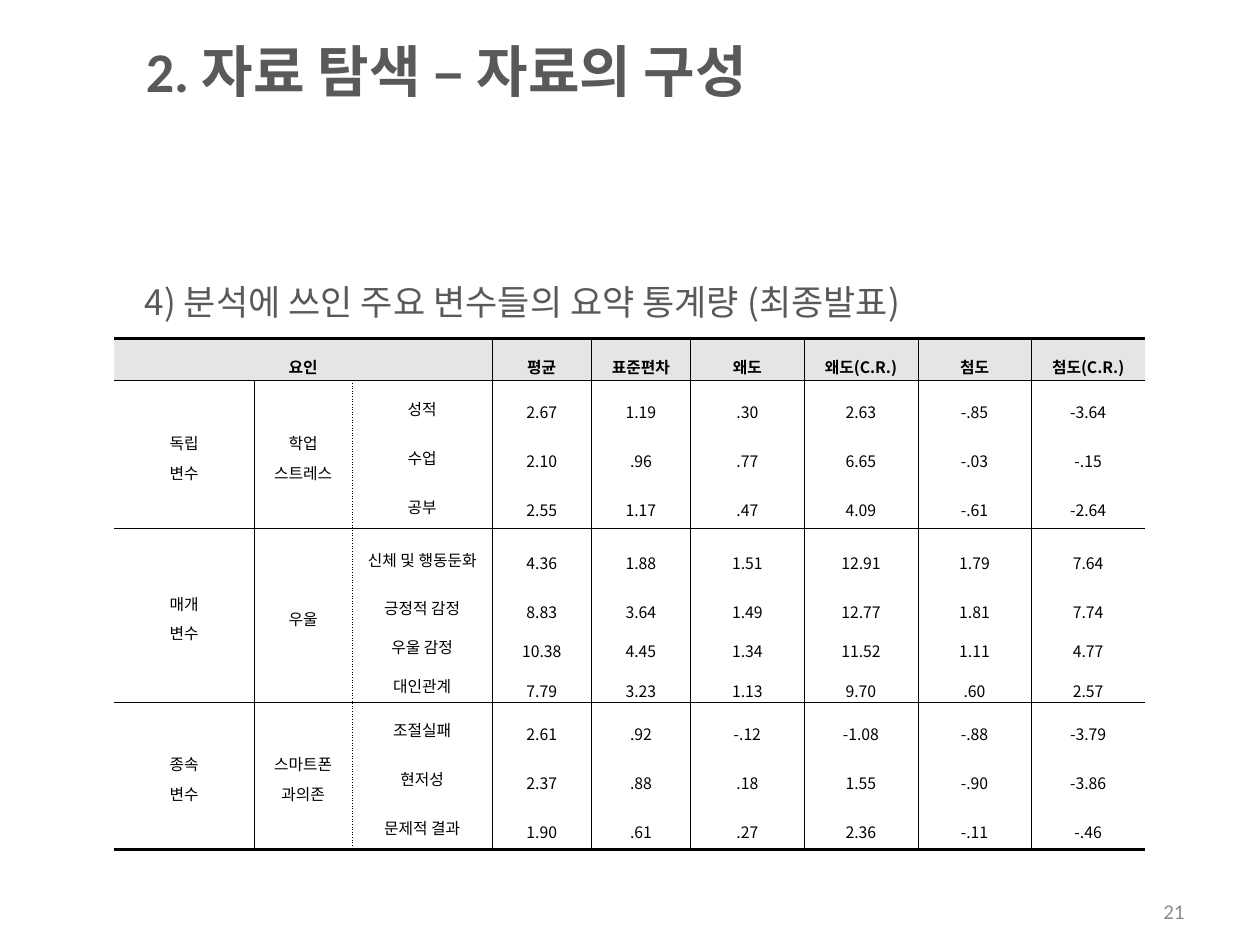
from dataclasses import dataclass
from typing import NamedTuple, Optional

from lxml.etree import SubElement
from pptx import Presentation
from pptx.dml.color import RGBColor
from pptx.enum.text import MSO_ANCHOR as Anchor, PP_ALIGN as Align
from pptx.oxml.ns import qn
from pptx.util import Cm, Pt


@dataclass(frozen=True)
class Theme:
    latin: str = "Calibri"
    korean: str = "Noto Sans CJK KR"
    heading: str = "595959"
    number: str = "8C8C8C"
    ink: str = "000000"
    header_fill: str = "E5E5E5"
    title_size: float = 32
    subtitle_size: float = 20
    number_size: float = 12
    table_size: float = 9
    thin: float = 0.25
    thick: float = 1.7
    label_spacing: float = 1.3
    value_spacing: float = 1.6


THEME = Theme()
NO_GRID_STYLE = "{2D5ABB26-0587-4C30-8999-92F81FD0307C}"


class Style(NamedTuple):
    size: float
    color: str
    font: str = THEME.latin
    bold: bool = False


class Label(NamedTuple):
    text: str
    style: Style
    left: float
    top: float
    width: float
    height: float
    anchor: Anchor = Anchor.MIDDLE
    align: Align = Align.LEFT
    space_before: float = 0


class Measure(NamedTuple):
    name: str
    values: str
    height: float = 0.99


class Group(NamedTuple):
    role: list[str]
    factor: list[str]
    measures: list[Measure]


class Line(NamedTuple):
    width: float
    dash: str = "solid"


# Content
LABELS = [
    Label("2. 자료 탐색 – 자료의 구성",
          Style(THEME.title_size, THEME.heading, bold=True), 2.69, 0.3, 19.69, 2.21),
    Label("4) 분석에 쓰인 주요 변수들의 요약 통계량 (최종발표)",
          Style(THEME.subtitle_size, THEME.heading, THEME.korean),
          2.67, 5.54, 18.03, 1.3, Anchor.TOP, space_before=4),
    Label("21", Style(THEME.number_size, THEME.number),
          18.21, 18.06, 5.92, 0.61, align=Align.RIGHT),
]
HEADERS = [["평균"], ["표준편차"], ["왜도"], ["왜도", "(C.R.)"], ["첨도"], ["첨도", "(C.R.)"]]
GROUPS = [
    Group(["독립", "변수"], ["학업", "스트레스"], [
        Measure("성적", "2.67 1.19 .30 2.63 -.85 -3.64"),
        Measure("수업", "2.10 .96 .77 6.65 -.03 -.15"),
        Measure("공부", "2.55 1.17 .47 4.09 -.61 -2.64"),
    ]),
    Group(["매개", "변수"], ["우울"], [
        Measure("신체 및 행동둔화", "4.36 1.88 1.51 12.91 1.79 7.64", 1.14),
        Measure("긍정적 감정", "8.83 3.64 1.49 12.77 1.81 7.74", 0.79),
        Measure("우울 감정", "10.38 4.45 1.34 11.52 1.11 4.77", 0.79),
        Measure("대인관계", "7.79 3.23 1.13 9.70 .60 2.57", 0.79),
    ]),
    Group(["종속", "변수"], ["스마트폰", "과의존"], [
        Measure("조절실패", "2.61 .92 -.12 -1.08 -.88 -3.79"),
        Measure("현저성", "2.37 .88 .18 1.55 -.90 -3.86"),
        Measure("문제적 결과", "1.90 .61 .27 2.36 -.11 -.46"),
    ]),
]
LABEL_COLUMNS = 3
COLUMN_WIDTHS = [2.82, 1.98, 2.82] + [2.0] * 2 + [2.29] * 4
ROW_HEIGHTS = [0.84] + [measure.height for group in GROUPS for measure in group.measures]
TABLE_LEFT, TABLE_TOP = 2.3, 6.83


def add_run(paragraph, text: str, style: Style) -> None:
    run = paragraph.add_run()
    run.text = text
    run.font.size = Pt(style.size)
    run.font.bold = style.bold
    run.font.name = style.font
    run.font.color.rgb = RGBColor.from_string(style.color)
    SubElement(run.font._element, qn("a:ea"), typeface=THEME.korean)


def add_label(slide, label: Label) -> None:
    shape = slide.shapes.add_textbox(
        Cm(label.left), Cm(label.top), Cm(label.width), Cm(label.height))
    frame = shape.text_frame
    frame.word_wrap = True
    frame.vertical_anchor = label.anchor
    paragraph = frame.paragraphs[0]
    paragraph.alignment = label.align
    paragraph.space_before = Pt(label.space_before)
    add_run(paragraph, label.text, label.style)


def fill_cell(cell, lines: list[list[str]], spacing: float, font: str, bold: bool = False) -> None:
    """Each line is a list of runs; a run in brackets takes the Korean font."""
    frame = cell.text_frame
    for index, line in enumerate(lines):
        paragraph = frame.paragraphs[0] if index == 0 else frame.add_paragraph()
        paragraph.alignment = Align.CENTER
        paragraph.line_spacing = spacing
        for text in line:
            run_font = THEME.korean if text.startswith("(") else font
            add_run(paragraph, text, Style(THEME.table_size, THEME.ink, run_font, bold))


def horizontal_line(boundary: int) -> Optional[Line]:
    if boundary in (0, len(ROW_HEIGHTS)):
        return Line(THEME.thick)
    group_starts = [1 + sum(len(group.measures) for group in GROUPS[:index])
                    for index in range(len(GROUPS))]
    return Line(THEME.thin) if boundary in group_starts else None


def vertical_line(boundary: int, row: int) -> Optional[Line]:
    if boundary in (0, len(COLUMN_WIDTHS)) or (row == 0 and boundary < LABEL_COLUMNS):
        return None
    return Line(THEME.thin, "sysDot" if boundary == LABEL_COLUMNS - 1 else "solid")


def set_border(cell, side: str, line: Optional[Line]) -> None:
    properties = cell._tc.get_or_add_tcPr()
    border = SubElement(properties, qn(f"a:ln{side}"), w=str(Pt(line.width) if line else 0))
    if line is None:
        SubElement(border, qn("a:noFill"))
        return
    fill = SubElement(border, qn("a:solidFill"))
    SubElement(fill, qn("a:srgbClr"), val=THEME.ink)
    SubElement(border, qn("a:prstDash"), val=line.dash)


def format_cell(cell, row: int, column: int) -> None:
    height = cell.span_height if cell.is_merge_origin else 1
    width = cell.span_width if cell.is_merge_origin else 1
    set_border(cell, "L", vertical_line(column, row))
    set_border(cell, "R", vertical_line(column + width, row))
    set_border(cell, "T", horizontal_line(row))
    set_border(cell, "B", horizontal_line(row + height))
    if row == 0:
        cell.fill.solid()
        cell.fill.fore_color.rgb = RGBColor.from_string(THEME.header_fill)
    else:
        cell.fill.background()
    cell.vertical_anchor = Anchor.MIDDLE
    cell.margin_left = cell.margin_right = Cm(0.18)
    cell.margin_top = cell.margin_bottom = Cm(0.05)


def add_statistics_table(slide) -> None:
    shape = slide.shapes.add_table(
        len(ROW_HEIGHTS), len(COLUMN_WIDTHS), Cm(TABLE_LEFT), Cm(TABLE_TOP),
        Cm(sum(COLUMN_WIDTHS)), Cm(sum(ROW_HEIGHTS)))
    table = shape.table
    table.first_row = table.horz_banding = False
    table._tbl.tblPr.find(qn("a:tableStyleId")).text = NO_GRID_STYLE
    for column, width in zip(table.columns, COLUMN_WIDTHS):
        column.width = Cm(width)
    for row, height in zip(table.rows, ROW_HEIGHTS):
        row.height = Cm(height)

    # Header row
    table.cell(0, 0).merge(table.cell(0, LABEL_COLUMNS - 1))
    fill_cell(table.cell(0, 0), [["요인"]], THEME.value_spacing, THEME.latin, True)
    for column, runs in enumerate(HEADERS, LABEL_COLUMNS):
        fill_cell(table.cell(0, column), [runs], THEME.value_spacing, THEME.latin, True)

    # Variable groups
    start = 1
    for group in GROUPS:
        end = start + len(group.measures)
        for column, lines in enumerate((group.role, group.factor)):
            table.cell(start, column).merge(table.cell(end - 1, column))
            fill_cell(table.cell(start, column), [[text] for text in lines],
                      THEME.label_spacing, THEME.latin)
        for row, measure in enumerate(group.measures, start):
            fill_cell(table.cell(row, 2), [[measure.name]], THEME.label_spacing, THEME.latin)
            for column, value in enumerate(measure.values.split(), LABEL_COLUMNS):
                fill_cell(table.cell(row, column), [[value]], THEME.value_spacing, THEME.korean)
        start = end

    # Borders, fills and margins
    for row in range(len(ROW_HEIGHTS)):
        for column in range(len(COLUMN_WIDTHS)):
            format_cell(table.cell(row, column), row, column)


def main() -> None:
    presentation = Presentation()
    presentation.slide_width, presentation.slide_height = Cm(25.4), Cm(19.05)
    slide = presentation.slides.add_slide(presentation.slide_layouts[6])
    for label in LABELS:
        add_label(slide, label)
    add_statistics_table(slide)
    presentation.save("out.pptx")


if __name__ == "__main__":
    main()
